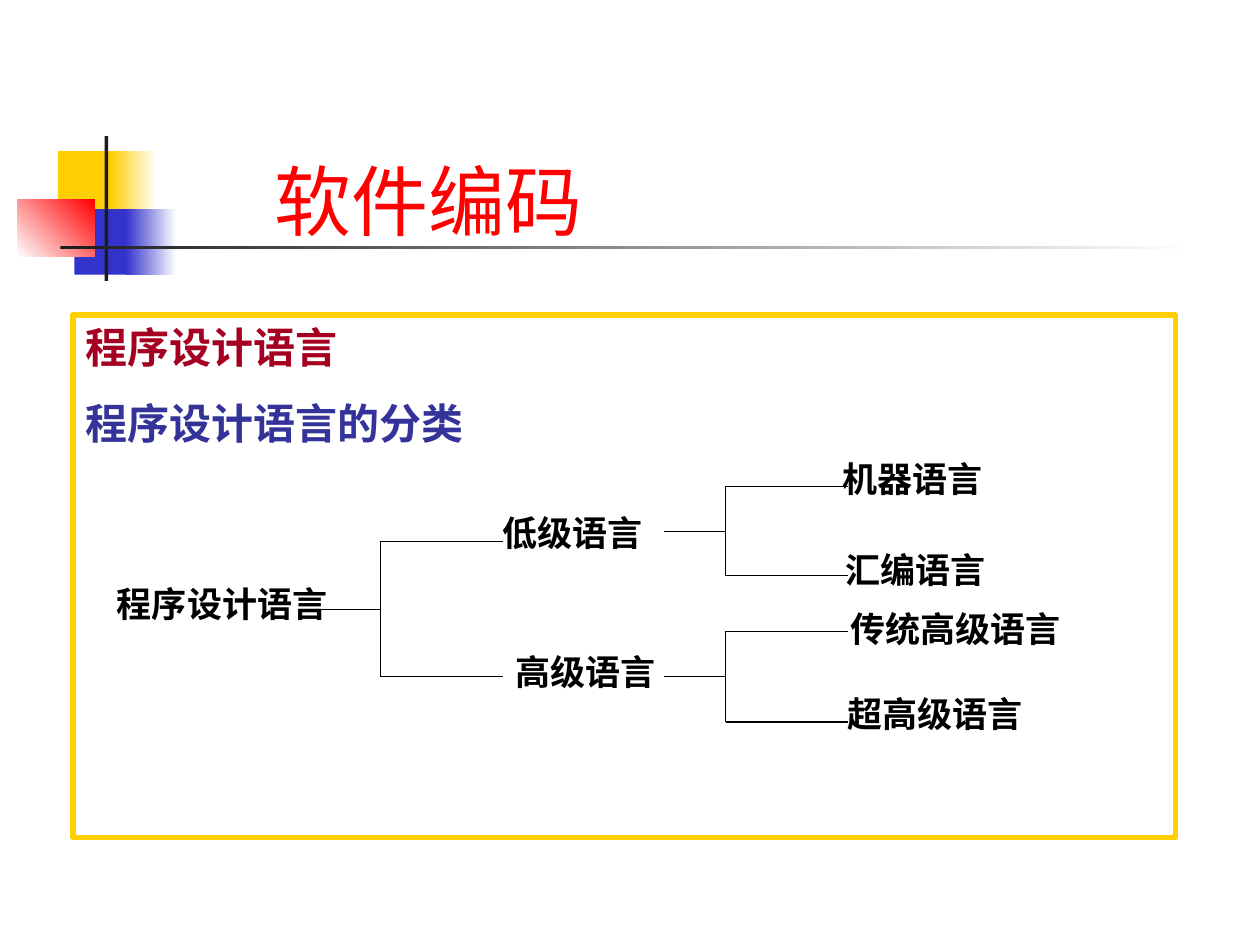
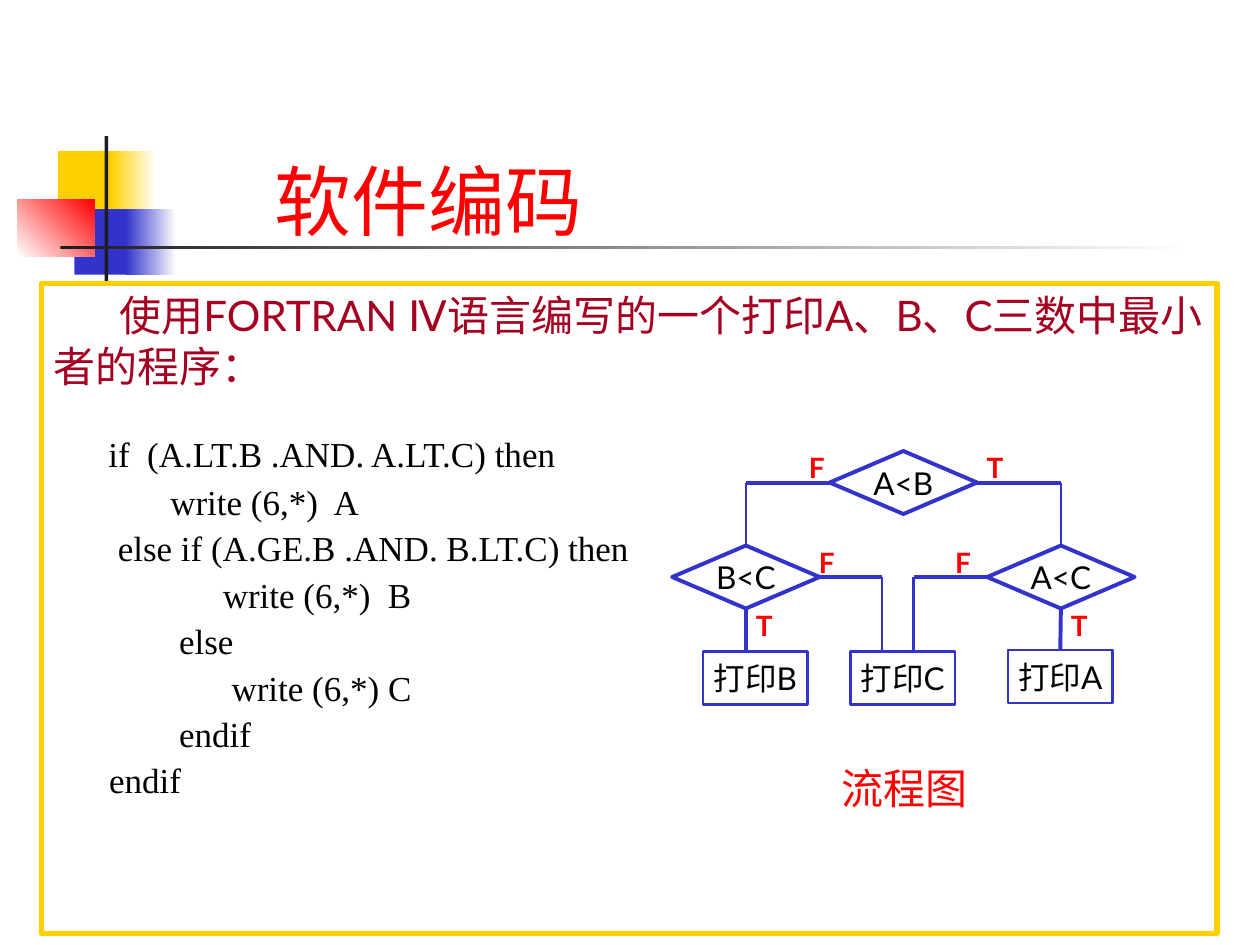
from lxml import etree
from pptx import Presentation
from pptx.dml.color import RGBColor
from pptx.enum import shapes, text
from pptx.oxml.ns import qn
from pptx.util import Inches, Pt

# Colours and fonts
YELLOW = RGBColor(0xFF, 0xCF, 0x01)
BLUE = RGBColor(0x33, 0x33, 0xCC)
NAVY = RGBColor(0x33, 0x33, 0x99)
RED = RGBColor(0xFF, 0x00, 0x00)
CRIMSON = RGBColor(0xA5, 0x00, 0x21)
INK = RGBColor(0x1C, 0x1C, 0x1C)
BLACK = RGBColor(0x00, 0x00, 0x00)
WHITE = RGBColor(0xFF, 0xFF, 0xFF)
SANS, SERIF = "Lato", "Times New Roman"

# Shared content
TITLE = "软件编码"
# Box, colours (two make a gradient), gradient angle
ORNAMENTS = [
    ((0.46, 1.2, 0.48, 0.52), (YELLOW,), 0),
    ((0.88, 1.2, 0.36, 0.52), (YELLOW, WHITE), 0),
    ((0.59, 1.66, 0.46, 0.52), (BLUE,), 0),
    ((1, 1.66, 0.4, 0.52), (BLUE, WHITE), 0),
    ((0.14, 1.58, 0.61, 0.46), (WHITE, RED), 45),
    ((0.83, 1.08, 0.03, 1.15), (INK,), 0),
    ((0.48, 1.95, 9, 0.03), (INK, WHITE), 0),
]

# Language tree
HEADINGS = [("程序设计语言", CRIMSON), ("程序设计语言的分类", NAVY)]
TREE_LABELS = [
    ("程序设计语言", 0.83, 4.57),
    ("低级语言", 3.89, 4.01),
    ("高级语言", 3.99, 5.11),
    ("机器语言", 6.59, 3.58),
    ("汇编语言", 6.61, 4.3),
    ("传统高级语言", 6.65, 4.77),
    ("超高级语言", 6.63, 5.45),
]
# Stem left, stem height, upper branch, lower branch
BRACKETS = [(2.53, 4.84, 4.3, 5.37), (5.27, 4.22, 3.86, 4.57), (5.27, 5.37, 5.01, 5.73)]
STEM, BRANCH = 0.49, 0.97

# Flowchart
INTRO = "使用FORTRAN Ⅳ语言编写的一个打印A、B、C三数中最小者的程序："
CODE = [
    "if  (A.LT.B .AND. A.LT.C) then",
    "            write (6,*)  A",
    "      else if (A.GE.B .AND. B.LT.C) then",
    "                  write (6,*)  B",
    "             else",
    "                   write (6,*) C",
    "             endif",
    "     endif",
]
COLUMNS = [5.92, 7.17, 8.42]
# Text, column, top
DECISIONS = [("A<B", 1, 3.58), ("B<C", 0, 4.33), ("A<C", 2, 4.33)]
# Text, left, top
RESULTS = [("打印B", 5.58, 5.17), ("打印C", 6.75, 5.17), ("打印A", 8, 5.16)]
# Decision, side (1 left, 3 right), corner x, end y, decision joined below
ELBOWS = [
    ("A<B", 3, COLUMNS[2], 4.33, "A<C"),
    ("A<B", 1, COLUMNS[0], 4.33, "B<C"),
    ("B<C", 3, 7, 5.17, None),
    ("A<C", 1, 7.25, 5.17, None),
]
BRANCH_MARKS = [
    ("T", 7.83, 3.58), ("F", 6.5, 4.33), ("T", 8.5, 4.83),
    ("T", 6, 4.83), ("F", 7.58, 4.33), ("F", 6.42, 3.58),
]


# Helpers
def add_run(paragraph, words, size, color, font=SANS, bold=False):
    run = paragraph.add_run()
    run.text = words
    run.font.size, run.font.name, run.font.bold = Pt(size), font, bold
    run.font.color.rgb = color


def add_text(slide, box, words, size, color, font=SANS, bold=False, inset=True):
    shape = slide.shapes.add_textbox(*map(Inches, box))
    frame = shape.text_frame
    frame.word_wrap = True
    if not inset:
        frame.margin_left = frame.margin_right = frame.margin_top = frame.margin_bottom = 0
    add_run(frame.paragraphs[0], words, size, color, font, bold)
    return frame


def add_outline(slide, kind, box, color, width):
    shape = slide.shapes.add_shape(kind, *map(Inches, box))
    shape.shadow.inherit = False
    shape.fill.background()
    shape.line.color.rgb, shape.line.width = color, Pt(width)
    return shape


def add_node(slide, kind, box, words, width):
    shape = add_outline(slide, kind, box, BLUE, width)
    frame = shape.text_frame
    frame.word_wrap = False
    frame.vertical_anchor = text.MSO_ANCHOR.MIDDLE
    frame.paragraphs[0].alignment = text.PP_ALIGN.CENTER
    add_run(frame.paragraphs[0], words, 18, BLACK)
    return shape


def add_line(slide, start, end, color, width):
    line = slide.shapes.add_connector(
        shapes.MSO_CONNECTOR.STRAIGHT, *map(Inches, (*start, *end)))
    line.line.color.rgb, line.line.width = color, Pt(width)
    etree.SubElement(line._element.spPr, qn("a:effectLst"))
    return line


def add_frame(slide, box):
    frame = add_outline(slide, shapes.MSO_SHAPE.RECTANGLE, box, YELLOW, 3).text_frame
    frame.word_wrap = True
    frame.vertical_anchor = text.MSO_ANCHOR.TOP
    frame.paragraphs[0].alignment = text.PP_ALIGN.LEFT
    return frame


def new_slide(presentation):
    slide = presentation.slides.add_slide(presentation.slide_layouts[6])
    for box, colors, angle in ORNAMENTS:
        shape = slide.shapes.add_shape(shapes.MSO_SHAPE.RECTANGLE, *map(Inches, box))
        shape.shadow.inherit = False
        shape.line.fill.background()
        if len(colors) == 1:
            shape.fill.solid()
            shape.fill.fore_color.rgb = colors[0]
        else:
            shape.fill.gradient()
            shape.fill.gradient_angle = angle
            for stop, color in zip(shape.fill.gradient_stops, colors):
                stop.color.rgb = color
    add_text(slide, (2.08, 1.17, 5.17, 0.84), TITLE, 44, RED)
    return slide


# Slides
def build_language_tree(presentation):
    slide = new_slide(presentation)
    frame = add_frame(slide, (0.58, 2.5, 8.75, 4.15))
    for index, (words, color) in enumerate(HEADINGS):
        paragraph = frame.add_paragraph() if index else frame.paragraphs[0]
        paragraph.alignment = text.PP_ALIGN.LEFT
        if index:
            paragraph.space_before = Pt(15)
        add_run(paragraph, words, 24, color, bold=True)

    for words, left, top in TREE_LABELS:
        label = add_text(slide, (left, top, 2.19, 0.62), words, 20, BLACK, SERIF, True)
        label.paragraphs[0].alignment = text.PP_ALIGN.JUSTIFY

    for left, middle, upper, lower in BRACKETS:
        spine = left + STEM
        add_line(slide, (left, middle), (spine, middle), BLACK, 0.75)
        add_line(slide, (spine, upper), (spine, lower), BLACK, 0.75)
        for y in (upper, lower):
            add_line(slide, (spine, y), (spine + BRANCH, y), BLACK, 0.75)


def build_flowchart(presentation):
    slide = new_slide(presentation)
    paragraph = add_frame(slide, (0.33, 2.25, 9.33, 5.16)).paragraphs[0]
    paragraph._p.get_or_add_pPr().set("indent", str(Inches(0.52)))
    add_run(paragraph, INTRO, 24, CRIMSON)

    # Decisions and results
    nodes = {}
    for words, column, top in DECISIONS:
        box = (COLUMNS[column] - 1.17 / 2, top, 1.17, 0.5)
        nodes[words] = add_node(
            slide, shapes.MSO_SHAPE.FLOWCHART_DECISION, box, words, 2.25)
    for words, left, top in RESULTS:
        nodes[words] = add_node(
            slide, shapes.MSO_SHAPE.RECTANGLE, (left, top, 0.83, 0.42), words, 1.5)

    # Branches sideways, then down
    for source, side, x, bottom, target in ELBOWS:
        y = (nodes[source].top + nodes[source].height / 2) / Inches(1)
        across = add_line(slide, (x, y), (x, y), BLUE, 2.25)
        across.begin_connect(nodes[source], side)
        down = add_line(slide, (x, y), (x, bottom), BLUE, 1.5)
        if target:
            down.end_connect(nodes[target], 0)

    # Straight branches down
    for source, x in (("B<C", COLUMNS[0]), ("A<C", COLUMNS[2])):
        down = add_line(slide, (x, 4.83), (x, 5.17), BLUE, 2.25)
        down.begin_connect(nodes[source], 2)
        if source == "A<C":
            down.end_connect(nodes["打印A"], 0)

    for mark, left, top in BRANCH_MARKS:
        add_text(slide, (left, top, 0.17, 0.27), mark, 16, RED, bold=True, inset=False)

    # Program listing
    frame = add_text(slide, (0.42, 3.33, 4.75, 3.08), "    ", 24, BLACK)
    add_run(frame.paragraphs[0], CODE[0], 20, BLACK, SERIF)
    for words in CODE[1:]:
        paragraph = frame.add_paragraph()
        paragraph.space_before = Pt(2.5)
        add_run(paragraph, words, 20, BLACK, SERIF)

    add_text(slide, (6.58, 6, 1.83, 0.5), "流程图", 24, RED)


def main():
    presentation = Presentation()
    presentation.slide_width, presentation.slide_height = Inches(10), Inches(7.5)
    build_language_tree(presentation)
    build_flowchart(presentation)
    presentation.save("out.pptx")


if __name__ == "__main__":
    main()
